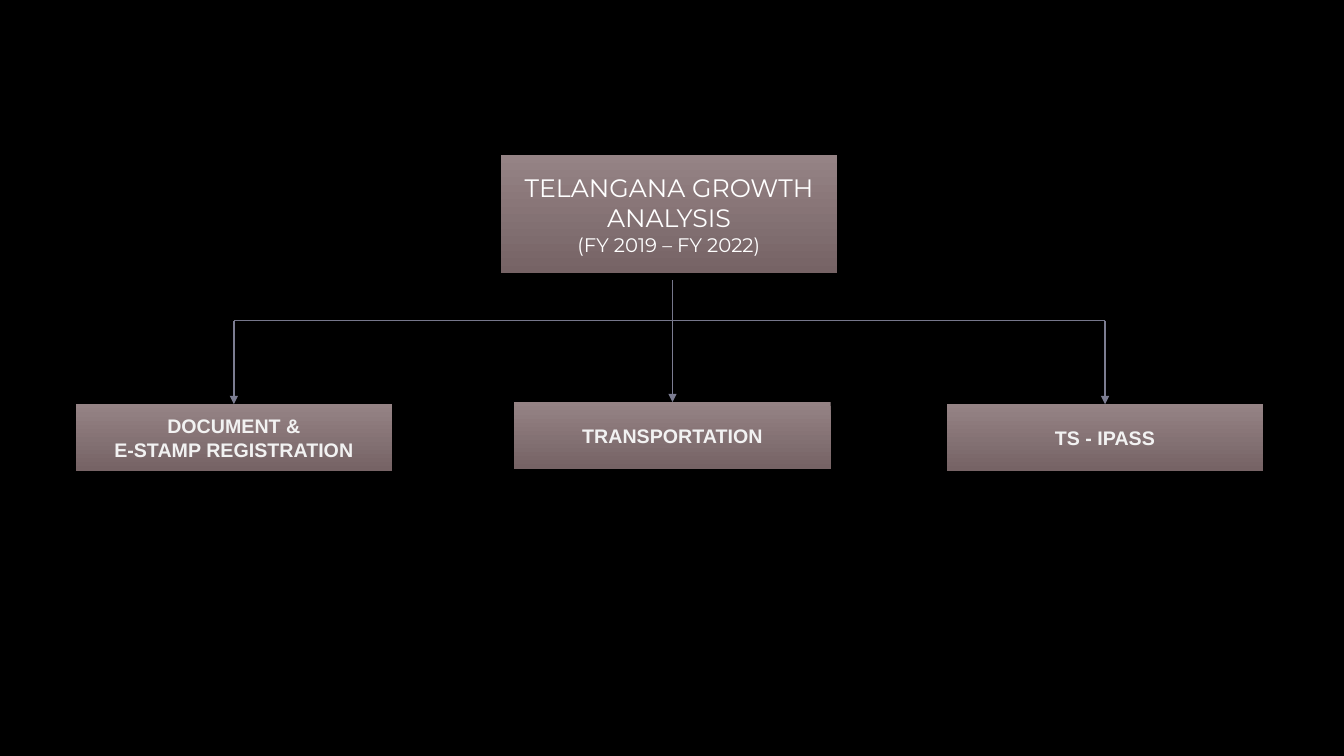
from dataclasses import dataclass

from lxml import etree
from pptx import Presentation
from pptx import util as u
from pptx.dml.color import RGBColor
from pptx.enum import shapes, text
from pptx.oxml.ns import qn
from pptx.shapes.autoshape import Shape
from pptx.shapes.connector import Connector
from pptx.slide import Slide

RAIL_Y = 3.18
STEM_TOP = 2.78
RAIL_COLOR = "76778B"
ARROW_COLOR = "7C7D92"
GRADIENT = ("958385", "766365")


@dataclass
class TextLine:
    wording: str
    size: int = 14
    font: str = "Arial"
    color: str = "F2F2F2"
    bold: bool = True


@dataclass
class Box:
    left: float
    top: float
    lines: list[TextLine]
    width: float = 3.14
    height: float = 0.66

    @property
    def center(self) -> float:
        return self.left + self.width / 2


TITLE = Box(4.97, 1.54, [
    TextLine("TELANGANA GROWTH ANALYSIS", 18, "Montserrat", "FFFFFF", False),
    TextLine("(FY 2019 – FY 2022)", 14, "Montserrat", "FFFFFF", False),
], 3.33, 1.17)
BRANCHES = [
    Box(0.75, 4.01, [TextLine("DOCUMENT &"), TextLine("E-STAMP REGISTRATION")]),
    Box(5.1, 3.99, [TextLine("TRANSPORTATION")]),
    Box(9.39, 4.01, [TextLine("TS - IPASS")]),
]


def rgb(color: str) -> RGBColor:
    return RGBColor.from_string(color)


def draw_box(slide: Slide, box: Box) -> Shape:
    shape = slide.shapes.add_shape(
        shapes.MSO_SHAPE.RECTANGLE, u.Inches(box.left), u.Inches(box.top),
        u.Inches(box.width), u.Inches(box.height))
    shape.shadow.inherit = False
    shape.line.fill.background()
    shape.fill.gradient()
    shape.fill.gradient_angle = 270  # counter-clockwise, so top to bottom
    for stop, color in zip(shape.fill.gradient_stops, GRADIENT):
        stop.color.rgb = rgb(color)

    frame = shape.text_frame
    frame.word_wrap = True
    frame.vertical_anchor = text.MSO_ANCHOR.MIDDLE
    for index, line in enumerate(box.lines):
        paragraph = frame.add_paragraph() if index else frame.paragraphs[0]
        paragraph.text = line.wording
        paragraph.alignment = text.PP_ALIGN.CENTER
        paragraph.font.size = u.Pt(line.size)
        paragraph.font.name = line.font
        paragraph.font.bold = line.bold
        paragraph.font.color.rgb = rgb(line.color)
    return shape


def draw_line(slide: Slide, start: tuple[float, float], end: tuple[float, float],
              color: str, width: float) -> Connector:
    connector = slide.shapes.add_connector(
        shapes.MSO_CONNECTOR.STRAIGHT, u.Inches(start[0]), u.Inches(start[1]),
        u.Inches(end[0]), u.Inches(end[1]))
    connector.line.color.rgb = rgb(color)
    connector.line.width = u.Pt(width)
    etree.SubElement(connector._element.spPr, qn("a:effectLst"))
    return connector


def draw_arrow(slide: Slide, box: Box, target: Shape) -> None:
    arrow = draw_line(slide, (box.center, RAIL_Y), (box.center, box.top),
                      ARROW_COLOR, 1.25)
    arrow.end_connect(target, 0)
    etree.SubElement(arrow.line._get_or_add_ln(), qn("a:tailEnd"), type="triangle")


def main() -> None:
    presentation = Presentation()
    presentation.slide_width = u.Inches(13.33)
    presentation.slide_height = u.Inches(7.5)
    slide = presentation.slides.add_slide(presentation.slide_layouts[6])
    slide.background.fill.solid()
    slide.background.fill.fore_color.rgb = rgb("000000")

    # Rail and the stem above it
    first, middle, last = BRANCHES
    draw_line(slide, (first.center, RAIL_Y), (last.center, RAIL_Y), RAIL_COLOR, 0.75)
    draw_line(slide, (middle.center, STEM_TOP), (middle.center, RAIL_Y),
              RAIL_COLOR, 0.75)

    # Title and its branches
    draw_box(slide, TITLE)
    for branch in BRANCHES:
        draw_arrow(slide, branch, draw_box(slide, branch))

    presentation.save("out.pptx")


if __name__ == "__main__":
    main()
